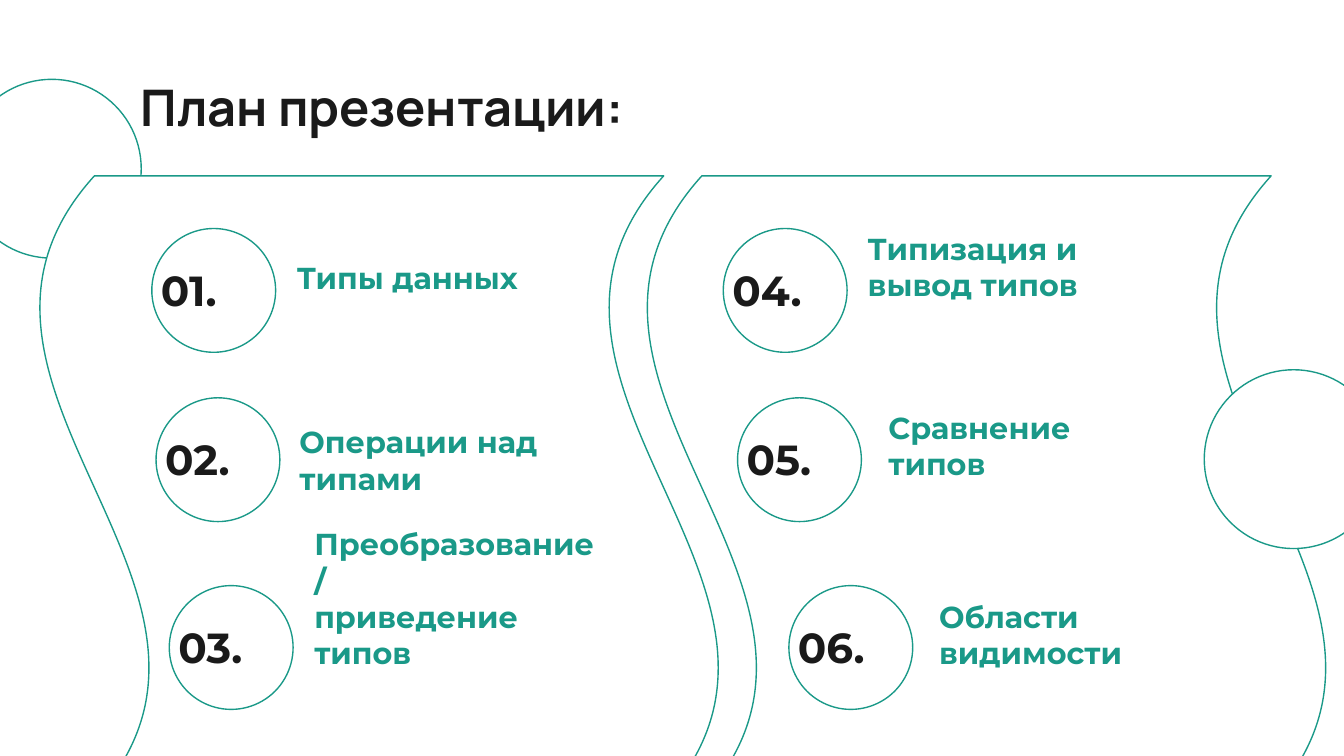
from dataclasses import dataclass

from pptx import Presentation
from pptx.dml.color import RGBColor
from pptx.enum.shapes import MSO_SHAPE
from pptx.enum.text import MSO_ANCHOR, MSO_AUTO_SIZE, PP_ALIGN
from pptx.shapes.autoshape import Shape
from pptx.slide import Slide
from pptx.util import Cm, Pt


@dataclass(frozen=True)
class TextStyle:
    font: str
    size: float
    color: RGBColor
    anchor: MSO_ANCHOR


@dataclass(frozen=True)
class Theme:
    paper: RGBColor = RGBColor(0xFF, 0xFF, 0xFF)
    ink: RGBColor = RGBColor(0x1A, 0x1A, 0x1A)
    accent: RGBColor = RGBColor(0x1A, 0x99, 0x88)
    outline: float = 0.75
    inset: float = 0.25
    title_font: str = "Manrope"
    body_font: str = "Montserrat"
    title_size: float = 27
    number_size: float = 22.5
    label_size: float = 16.2


@dataclass(frozen=True)
class Topic:
    text: str
    circle_left: float
    circle_top: float
    label_left: float
    label_top: float
    label_width: float = 5.79


THEME = Theme()
TITLE = TextStyle(THEME.title_font, THEME.title_size, THEME.ink, MSO_ANCHOR.TOP)
NUMBER = TextStyle(THEME.body_font, THEME.number_size, THEME.ink, MSO_ANCHOR.MIDDLE)
LABEL = TextStyle(THEME.body_font, THEME.label_size, THEME.accent, MSO_ANCHOR.BOTTOM)

ROWS = (4.32, 7.52, 11.07)
CIRCLE = 2.34
BIG_CIRCLE = 3.38
TEXT_HEIGHT = 0.99

TOPICS = (
    Topic("Типы данных", 2.87, ROWS[0], 5.36, 4.85),
    Topic("Операции над типами", 2.95, ROWS[1], 5.41, 8.64, 6.35),
    Topic("Преобразование/\nприведение типов", 3.2, ROWS[2], 5.69, 11.94),
    Topic("Типизация и вывод типов", 13.67, ROWS[0], 16.15, 4.98),
    Topic("Сравнение типов", 13.94, ROWS[1], 16.54, 8.36),
    Topic("Области видимости", 14.91, ROWS[2], 17.5, 11.94),
)


def add_outline(page: Slide, kind: MSO_SHAPE, left: float, top: float,
                width: float, height: float) -> Shape:
    shape = page.shapes.add_shape(kind, Cm(left), Cm(top), Cm(width), Cm(height))
    shape.shadow.inherit = False
    shape.fill.solid()
    shape.fill.fore_color.rgb = THEME.paper
    shape.line.color.rgb = THEME.accent
    shape.line.width = Pt(THEME.outline)
    return shape


def add_circle(page: Slide, left: float, top: float, diameter: float) -> None:
    add_outline(page, MSO_SHAPE.OVAL, left, top, diameter, diameter)


def add_wave(page: Slide, left: float) -> None:
    wave = add_outline(page, MSO_SHAPE.WAVE, left, 2.77, 11.79, 12.9)
    wave.adjustments[0] = 0.083
    wave.adjustments[1] = 0
    wave.rotation = 270
    wave._element.spPr.xfrm.set("flipH", "1")


def write_text(box: Shape, text: str, style: TextStyle) -> None:
    frame = box.text_frame
    frame.text = text
    frame.word_wrap = True
    frame.auto_size = MSO_AUTO_SIZE.NONE
    frame.vertical_anchor = style.anchor
    frame.margin_left = frame.margin_right = Cm(THEME.inset)
    frame.margin_top = frame.margin_bottom = Cm(THEME.inset)
    for para in frame.paragraphs:
        para.alignment = PP_ALIGN.LEFT
        para.font.name = style.font
        para.font.size = Pt(style.size)
        para.font.bold = True
        para.font.color.rgb = style.color


def add_text(page: Slide, text: str, style: TextStyle,
             left: float, top: float, width: float) -> None:
    box = page.shapes.add_textbox(Cm(left), Cm(top), Cm(width), Cm(TEXT_HEIGHT))
    write_text(box, text, style)


def add_topic(page: Slide, number: int, topic: Topic) -> None:
    add_circle(page, topic.circle_left, topic.circle_top, CIRCLE)
    add_text(page, topic.text, LABEL, topic.label_left, topic.label_top, topic.label_width)
    add_text(page, f"{number:02}.", NUMBER,
             topic.circle_left - 0.08, topic.circle_top + 0.66, 2.49)


def main() -> None:
    deck = Presentation()
    deck.slide_width, deck.slide_height = Cm(25.4), Cm(14.29)
    page = deck.slides.add_slide(deck.slide_layouts[5])
    page.background.fill.solid()
    page.background.fill.fore_color.rgb = THEME.paper

    # Background circles and waves
    add_circle(page, -0.71, 1.5, BIG_CIRCLE)
    for left in (1.27, 12.75):
        add_wave(page, left)
    add_circle(page, 22.76, 6.99, BIG_CIRCLE)

    # Title, brought in front of the background
    title = page.shapes.title
    title.left, title.top = Cm(2.41), Cm(1.19)
    title.width, title.height = Cm(21.41), Cm(1.6)
    write_text(title, "План презентации:", TITLE)
    page.shapes._spTree.append(title._element)

    # Numbered topics
    for number, topic in enumerate(TOPICS, start=1):
        add_topic(page, number, topic)

    deck.save("out.pptx")


if __name__ == "__main__":
    main()
